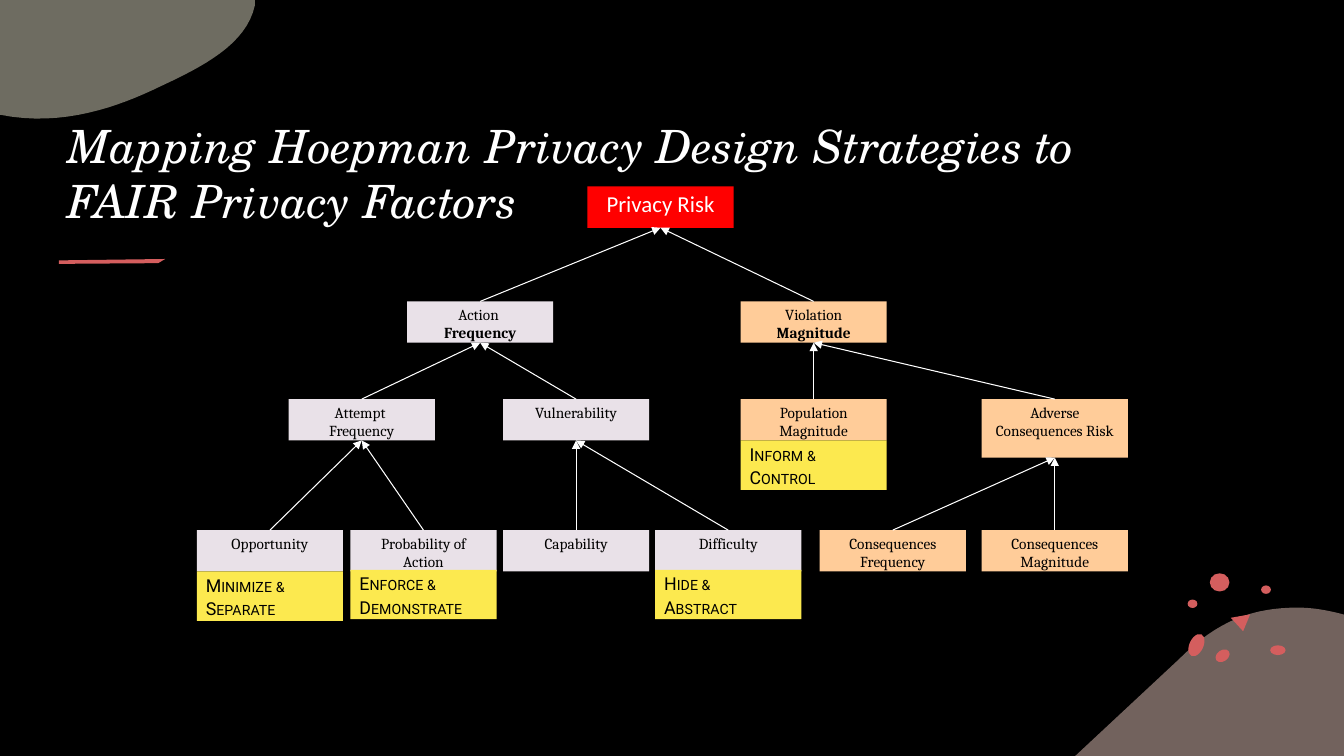
from dataclasses import dataclass

from lxml.etree import SubElement
from pptx import Presentation
from pptx.dml.color import RGBColor
from pptx.enum.shapes import MSO_CONNECTOR, MSO_SHAPE
from pptx.enum.text import MSO_ANCHOR, PP_ALIGN
from pptx.oxml.ns import qn
from pptx.util import Pt

COLORS = {
    "background": "000000", "ink": "000000", "light": "FFFFFF", "risk": "FF0000",
    "frequency": "E9E1E8", "magnitude": "FFCC99", "strategy": "FCE94F",
    "coral": "D45E5E", "hill": "E5C4BA", "corner": "DCD9C3",
}
BOX_WIDTH, BOX_HEIGHT, NOTE_HEIGHT = 104.4, 29.5, 35.3
ROWS = (133.2, 215.3, 285.1, 378.7)


@dataclass(frozen=True)
class Style:
    size: float
    font: str
    color: str = "ink"
    italic: bool = False
    small_caps: bool = False
    spacing: float | None = None
    align: PP_ALIGN = PP_ALIGN.LEFT


@dataclass(frozen=True)
class Factor:
    key: str
    left: float
    row: int
    color: str
    text: str
    parent: str = ""
    bold: str = ""
    height: float = BOX_HEIGHT


@dataclass(frozen=True)
class Strategy:
    factor: str
    text: str
    overlap: float = 0


@dataclass(frozen=True)
class Outline:
    """Each segment is a line (x, y) or a Bézier curve (x1, y1, x2, y2, x, y)."""
    color: str
    start: tuple[float, float]
    segments: tuple[tuple[float, ...], ...]
    alpha: int = 100


@dataclass(frozen=True)
class Pebble:
    x: float
    y: float
    width: float
    height: float
    rotation: float = 0
    form: MSO_SHAPE = MSO_SHAPE.OVAL


TITLE = Style(32.7, "TeX Gyre Schola", "light", italic=True)
RISK = Style(16.3, "Calibri", "light", spacing=0.98, align=PP_ALIGN.CENTER)
FACTOR = Style(10.9, "Cambria", spacing=0.98, align=PP_ALIGN.CENTER)
STRATEGY = Style(12.7, "Roboto", small_caps=True, spacing=1.09)

FACTORS = (
    Factor("risk", 419.6, 0, "risk", "Privacy Risk"),
    Factor("action", 290.8, 1, "frequency", "Action \n", "risk", "Frequency"),
    Factor("attempt", 206.2, 2, "frequency", "Attempt \nFrequency", "action"),
    Factor("vulnerability", 359.3, 2, "frequency", "Vulnerability", "action"),
    Factor("opportunity", 140.6, 3, "frequency", "Opportunity", "attempt"),
    Factor("probability", 250.3, 3, "frequency", "Probability of Action", "attempt"),
    Factor("capability", 359.3, 3, "frequency", "Capability", "vulnerability"),
    Factor("difficulty", 468, 3, "frequency", "Difficulty", "vulnerability"),
    Factor("violation", 529, 1, "magnitude", "Violation ", "risk", "Magnitude"),
    Factor("population", 529, 2, "magnitude", "Population Magnitude", "violation"),
    Factor("adverse", 701.2, 2, "magnitude", "Adverse Consequences Risk", "violation",
           height=41.8),
    Factor("how often", 585.5, 3, "magnitude", "Consequences Frequency", "adverse"),
    Factor("how severe", 701.2, 3, "magnitude", "Consequences Magnitude", "adverse"),
)
STRATEGIES = (
    Strategy("opportunity", "Minimize &\nSeparate"),
    Strategy("probability", "Enforce & \nDemonstrate", 1.2),
    Strategy("difficulty", "Hide & \nAbstract", 1.2),
    Strategy("population", "Inform & \nControl"),
)
OUTLINES = (
    Outline("hill", (768, 540), (
        (842, 471), (870, 443, 895, 434, 927, 434), (938, 434, 949, 436, 960, 439), (960, 540)), 50),
    Outline("corner", (0, 82), (
        (45, 91, 85, 76, 114, 62), (144, 48, 176, 32, 182, 4), (182, 0), (0, 0)), 50),
    Outline("coral", (42, 186), ((118, 185), (113, 188), (42, 188.5))),
)
PEBBLES = (
    Pebble(873.3, 468.4, 11, 8, -35),
    Pebble(854.6, 460.8, 10, 17, 25),
    Pebble(912.8, 464.4, 11, 7),
    Pebble(871.2, 416, 14, 13),
    Pebble(904.3, 421.2, 7, 6),
    Pebble(851.8, 431.3, 7, 6),
    Pebble(887, 445.5, 14, 11, -10, MSO_SHAPE.FLOWCHART_MERGE),
)


def paint(shape, color: str, alpha: int = 100) -> None:
    shape.shadow.inherit = False
    shape.line.fill.background()
    shape.fill.solid()
    shape.fill.fore_color.rgb = RGBColor.from_string(COLORS[color])
    if alpha < 100:
        tint = shape._element.spPr.find(".//" + qn("a:srgbClr"))
        SubElement(tint, qn("a:alpha")).set("val", str(alpha * 1000))


def write(frame, style: Style, anchor: MSO_ANCHOR, text: str, bold: str = "") -> None:
    frame.word_wrap = True
    frame.vertical_anchor = anchor
    paragraph = frame.paragraphs[0]
    paragraph.alignment = style.align
    paragraph.line_spacing = style.spacing
    for part, is_bold in ((text, False), (bold, True)):
        for index, line in enumerate(part.split("\n")):
            if index:
                paragraph.add_line_break()
            if not line:
                continue
            run = paragraph.add_run()
            run.text = line
            font = run.font
            font.size, font.name = Pt(style.size), style.font
            font.bold, font.italic = is_bold, style.italic
            font.color.rgb = RGBColor.from_string(COLORS[style.color])
            if style.small_caps:
                run._r.get_or_add_rPr().set("cap", "small")


def draw_outline(shapes, outline: Outline, steps: int = 16) -> None:
    points = [outline.start]
    for segment in outline.segments:
        if len(segment) == 2:
            points.append(segment)
            continue
        controls = (points[-1], segment[:2], segment[2:4], segment[4:])
        for step in range(1, steps + 1):
            t = step / steps
            weights = ((1 - t) ** 3, 3 * t * (1 - t) ** 2, 3 * t * t * (1 - t), t ** 3)
            points.append(tuple(sum(w * c[axis] for w, c in zip(weights, controls))
                                for axis in (0, 1)))
    corners = [(Pt(x), Pt(y)) for x, y in points]
    builder = shapes.build_freeform(*corners[0])
    builder.add_line_segments(corners[1:], close=True)
    paint(builder.convert_to_shape(), outline.color, outline.alpha)


def draw_pebble(shapes, pebble: Pebble) -> None:
    dot = shapes.add_shape(pebble.form, Pt(pebble.x - pebble.width / 2),
                           Pt(pebble.y - pebble.height / 2), Pt(pebble.width), Pt(pebble.height))
    dot.rotation = pebble.rotation
    paint(dot, "coral")


def draw_box(shapes, left: float, top: float, height: float, color: str):
    box = shapes.add_shape(MSO_SHAPE.RECTANGLE, Pt(left), Pt(top), Pt(BOX_WIDTH), Pt(height))
    paint(box, color)
    return box


def draw_arrow(shapes, child, parent) -> None:
    arrow = shapes.add_connector(MSO_CONNECTOR.STRAIGHT, 0, 0, 0, 0)
    arrow.begin_connect(child, 0)
    arrow.end_connect(parent, 2)
    arrow.line.width = Pt(0.75)
    arrow.line.color.rgb = RGBColor.from_string(COLORS["light"])
    SubElement(arrow.line._get_or_add_ln(), qn("a:tailEnd")).set("type", "triangle")
    SubElement(arrow._element.spPr, qn("a:effectLst"))


def main() -> None:
    deck = Presentation()
    deck.slide_width, deck.slide_height = Pt(960), Pt(540)
    slide = deck.slides.add_slide(deck.slide_layouts[6])
    slide.background.fill.solid()
    slide.background.fill.fore_color.rgb = RGBColor.from_string(COLORS["background"])
    shapes = slide.shapes

    # Decoration and title
    for outline in OUTLINES:
        draw_outline(shapes, outline)
    for pebble in PEBBLES:
        draw_pebble(shapes, pebble)
    title = shapes.add_textbox(Pt(41), Pt(61.9), Pt(793.4), Pt(104.4)).text_frame
    title.margin_top = Pt(0.7)
    write(title, TITLE, MSO_ANCHOR.BOTTOM,
          "Mapping Hoepman Privacy Design Strategies to FAIR Privacy Factors")

    # Tree of risk factors
    boxes = {}
    for factor in FACTORS:
        box = draw_box(shapes, factor.left, ROWS[factor.row], factor.height, factor.color)
        write(box.text_frame, FACTOR if factor.parent else RISK, MSO_ANCHOR.TOP,
              factor.text, factor.bold)
        boxes[factor.key] = box
    for factor in FACTORS:
        if factor.parent:
            draw_arrow(shapes, boxes[factor.key], boxes[factor.parent])

    # Design strategies under their factors
    for strategy in STRATEGIES:
        box = boxes[strategy.factor]
        note = draw_box(shapes, box.left.pt, (box.top + box.height) / Pt(1) - strategy.overlap,
                        NOTE_HEIGHT, "strategy")
        frame = note.text_frame
        frame.margin_left = frame.margin_right = Pt(6.4)
        frame.margin_top = frame.margin_bottom = Pt(3.2)
        write(frame, STRATEGY, MSO_ANCHOR.MIDDLE, strategy.text)

    deck.save("out.pptx")


if __name__ == "__main__":
    main()
